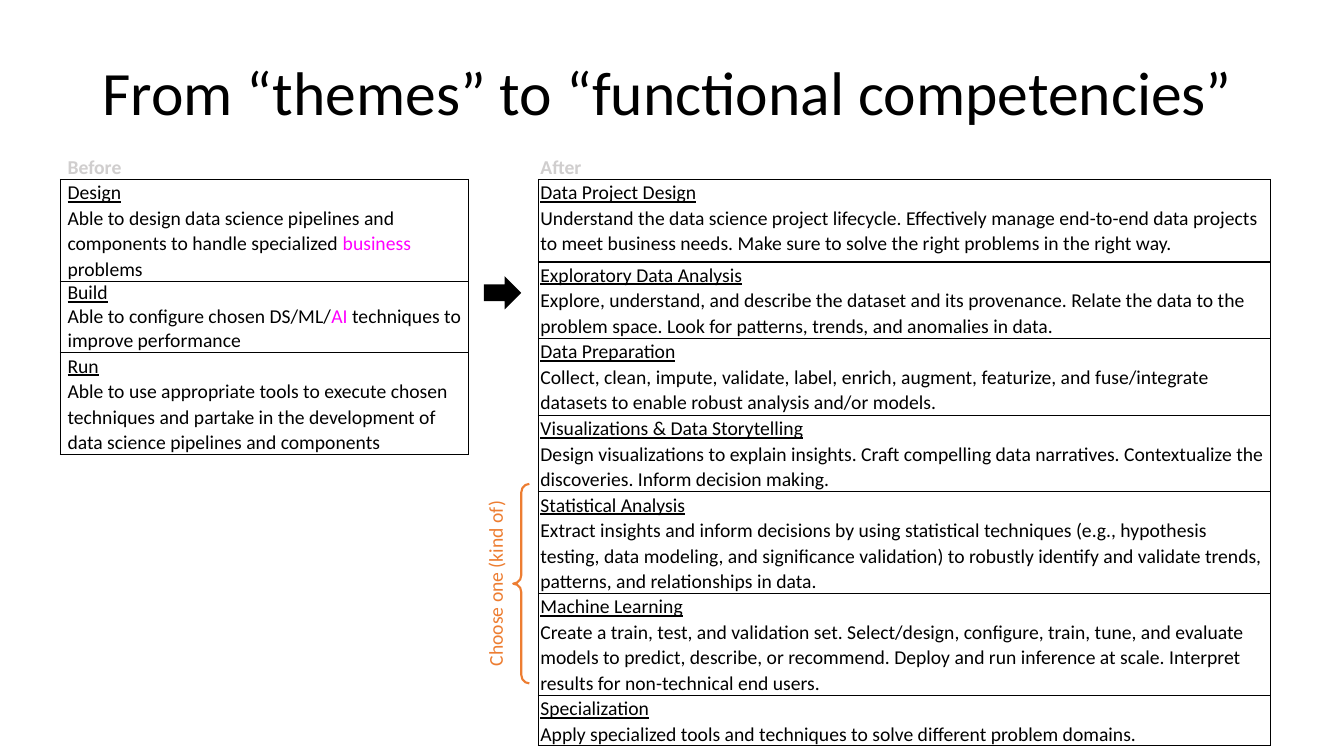
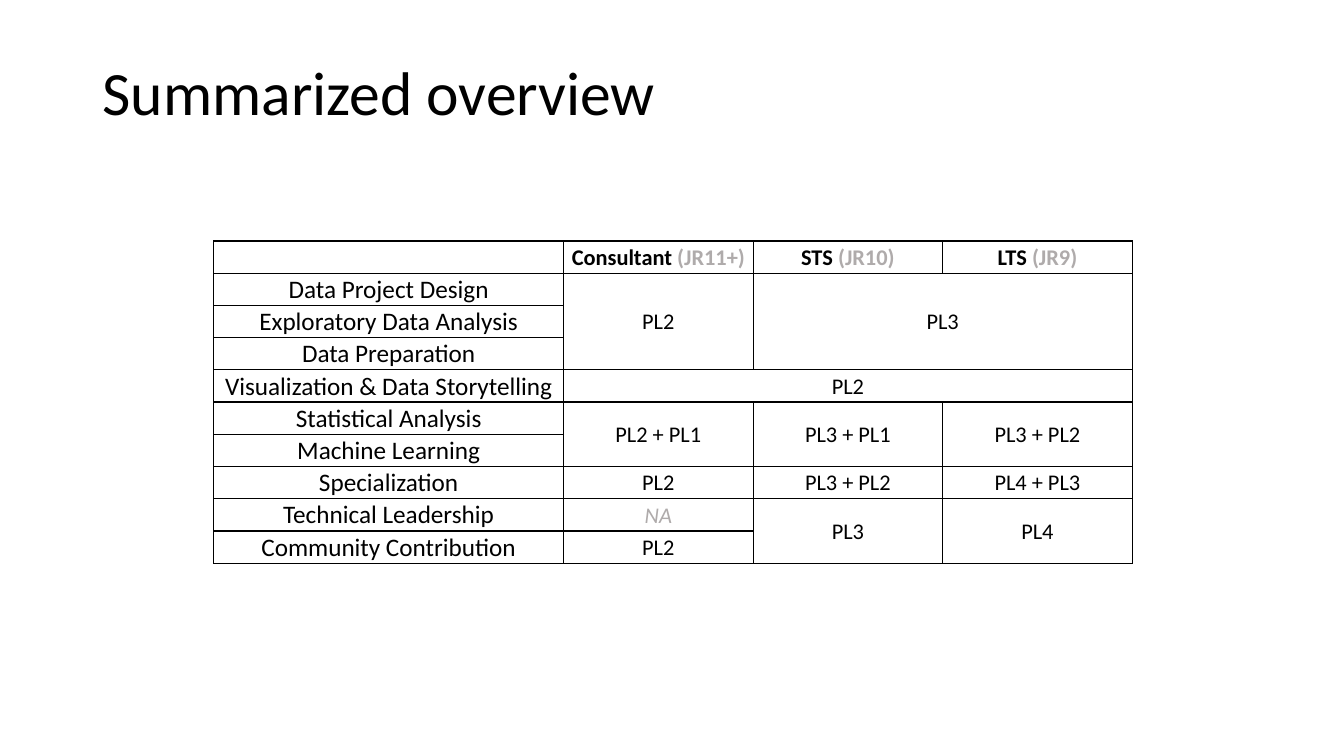
import pptx
import pptx.util
import pptx.dml.color
import pptx.enum.shapes
import pptx.enum.text
import pptx.oxml.ns
import lxml.etree

Inches = pptx.util.Inches
Pt = pptx.util.Pt
RGBColor = pptx.dml.color.RGBColor
Shape = pptx.enum.shapes.MSO_SHAPE
Align = pptx.enum.text.PP_ALIGN
Anchor = pptx.enum.text.MSO_ANCHOR

BLACK = RGBColor(0x00, 0x00, 0x00)
LABEL_GRAY = RGBColor(0xD0, 0xCE, 0xCE)
MUTED_GRAY = RGBColor(0xAF, 0xAB, 0xAB)
MAGENTA = RGBColor(0xFF, 0x00, 0xFF)
ORANGE = RGBColor(0xED, 0x7D, 0x31)

THEMES = [
    ("Design", [("Able to design data science pipelines and components to handle specialized ", BLACK),
                ("business", MAGENTA), (" problems", BLACK)], 1.07, 1.01),
    ("Build", [("Able to configure chosen DS/ML/", BLACK), ("AI", MAGENTA),
               (" techniques to improve performance", BLACK)], 1.0, 0.71),
    ("Run", "Able to use appropriate tools to execute chosen techniques and partake in the "
            "development of data science pipelines and components", 1.07, 1.01),
]
COMPETENCIES = [
    ("Data Project Design",
     "Understand the data science project lifecycle. Effectively manage end-to-end data projects "
     "to meet business needs. Make sure to solve the right problems in the right way.", 1.07, 0.82),
    ("Exploratory Data Analysis",
     "Explore, understand, and describe the dataset and its provenance. Relate the data to the "
     "problem space. Look for patterns, trends, and anomalies in data.", 1.07, 0.76),
    ("Data Preparation",
     "Collect, clean, impute, validate, label, enrich, augment, featurize, and fuse/integrate "
     "datasets to enable robust analysis and/or models.", 1.07, 0.76),
    ("Visualizations & Data Storytelling",
     "Design visualizations to explain insights. Craft compelling data narratives. Contextualize "
     "the discoveries. Inform decision making.", 1.07, 0.76),
    ("Statistical Analysis",
     "Extract insights and inform decisions by using statistical techniques (e.g., hypothesis "
     "testing, data modeling, and significance validation) to robustly identify and validate "
     "trends, patterns, and relationships in data.", 1.07, 1.01),
    ("Machine Learning",
     "Create a train, test, and validation set. Select/design, configure, train, tune, and "
     "evaluate models to predict, describe, or recommend. Deploy and run inference at scale. "
     "Interpret results for non-technical end users.", 1.07, 1.01),
    ("Specialization",
     "Apply specialized tools and techniques to solve different problem domains.", 1.07, 0.5),
]
ROLES = [("Consultant ", "(JR11+)"), ("STS ", "(JR10)"), ("LTS ", "(JR9)")]
SKILLS = ["Data Project Design", "Exploratory Data Analysis", "Data Preparation",
          "Visualization & Data Storytelling", "Statistical Analysis", "Machine Learning",
          "Specialization", "Technical Leadership", "Community Contribution"]
LEVELS = [
    (1, 1, 3, 1, "PL2"), (1, 2, 3, 2, "PL3"),
    (4, 1, 1, 3, "PL2"),
    (5, 1, 2, 1, "PL2 + PL1"), (5, 2, 2, 1, "PL3 + PL1"), (5, 3, 2, 1, "PL3 + PL2"),
    (7, 1, 1, 1, "PL2"), (7, 2, 1, 1, "PL3 + PL2"), (7, 3, 1, 1, "PL4 + PL3"),
    (8, 1, 1, 1, "NA"), (8, 2, 2, 1, "PL3"), (8, 3, 2, 1, "PL4"),
    (9, 1, 1, 1, "PL2"),
]


class SlideBuilder:
    font = "Calibri"

    def __init__(self, deck):
        self.deck = deck
        self.page = None

    def start(self, title):
        self.page = self.deck.slides.add_slide(self.deck.slide_layouts[6])
        box = self.page.shapes.add_textbox(Inches(0.92), Inches(0.22), Inches(11.5), Inches(1.45))
        box.text_frame.word_wrap = True
        box.text_frame.vertical_anchor = Anchor.MIDDLE
        self.set_text(box.text_frame.paragraphs[0], title, 44, spacing=0.9)

    def set_text(self, para, content, size, color=BLACK, bold=False, italic=False,
                 underline=False, align=Align.LEFT, spacing=1.0):
        para.alignment = align
        para.line_spacing = spacing
        font = para.font
        font.name, font.size = self.font, Pt(size)
        font.bold, font.italic, font.underline = bold, italic, underline
        spans = [(content, color)] if isinstance(content, str) else content
        for text, span_color in spans:
            span = para.add_run()
            span.text = text
            span.font.color.rgb = span_color

    def border(self, cell, visible_sides="LRTB"):
        properties = cell._tc.get_or_add_tcPr()
        for side in "LRTB":
            line = lxml.etree.SubElement(properties, pptx.oxml.ns.qn("a:ln" + side), w="12700")
            if side in visible_sides:
                fill = lxml.etree.SubElement(line, pptx.oxml.ns.qn("a:solidFill"))
                lxml.etree.SubElement(fill, pptx.oxml.ns.qn("a:srgbClr"), val=str(BLACK))
            else:
                lxml.etree.SubElement(line, pptx.oxml.ns.qn("a:noFill"))

    def table(self, left, top, widths, heights, margins, open_header=False):
        table = self.page.shapes.add_table(
            len(heights), len(widths), Inches(left), Inches(top),
            Inches(sum(widths)), Inches(sum(heights))).table
        table.first_row = table.horz_banding = False
        for column, width in zip(table.columns, widths):
            column.width = Inches(width)
        for index, (row, height) in enumerate(zip(table.rows, heights)):
            row.height = Inches(height)
            for cell in row.cells:
                self.border(cell, "B" if open_header and index == 0 else "LRTB")
                cell.fill.background()
                cell.margin_left, cell.margin_top, cell.margin_right, cell.margin_bottom = (
                    Inches(margin) for margin in margins)
                cell.text_frame.paragraphs[0].font.size = Pt(14)
        return table

    def topic_table(self, left, width, inset, label, topics):
        heights = [0.25] + [topic[-1] for topic in topics]
        table = self.table(left, 1.53, [width], heights, (inset, 0, inset, 0), open_header=True)
        self.set_text(table.cell(0, 0).text_frame.paragraphs[0], label, 14, LABEL_GRAY,
                      bold=True, spacing=1.07)
        for row, (name, description, spacing, _) in enumerate(topics, 1):
            frame = table.cell(row, 0).text_frame
            self.set_text(frame.paragraphs[0], name, 14, underline=True, spacing=spacing)
            self.set_text(frame.add_paragraph(), description, 14, spacing=spacing)

    def centered_cell(self, cell, content, size, **style):
        cell.vertical_anchor = Anchor.MIDDLE
        self.set_text(cell.text_frame.paragraphs[0], content, size, align=Align.CENTER, **style)

    def shape(self, kind, left, top, width, height):
        shape = self.page.shapes.add_shape(
            kind, Inches(left), Inches(top), Inches(width), Inches(height))
        shape.shadow.inherit = False
        return shape

    def arrow(self, left, top, width, height):
        arrow = self.shape(Shape.RIGHT_ARROW, left, top, width, height)
        arrow.fill.solid()
        arrow.fill.fore_color.rgb = BLACK
        arrow.line.fill.background()

    def left_facing_brace(self, left, top, width, height):
        brace = self.shape(Shape.RIGHT_BRACE, left, top, width, height)
        brace.rotation = 180
        brace.adjustments[0] = 0.53
        brace.fill.background()
        brace.line.color.rgb = ORANGE
        brace.line.width = Pt(1.5)

    def vertical_label(self, left, top, width, height, text):
        box = self.page.shapes.add_textbox(
            Inches(left), Inches(top), Inches(width), Inches(height))
        box.rotation = 270
        box.text_frame.word_wrap = False
        box.text_frame.auto_size = pptx.enum.text.MSO_AUTO_SIZE.SHAPE_TO_FIT_TEXT
        self.set_text(box.text_frame.paragraphs[0], text, 14, ORANGE, align=Align.CENTER)


def add_competencies(builder):
    builder.start("From “themes” to “functional competencies”")
    builder.topic_table(0.6, 4.05, 0.07, "Before", THEMES)
    builder.topic_table(5.34, 7.26, 0.02, "After", COMPETENCIES)
    builder.left_facing_brace(5.09, 4.8, 0.16, 1.98)
    builder.vertical_label(3.99, 5.62, 1.85, 0.34, "Choose one (kind of)")
    builder.arrow(4.8, 2.74, 0.37, 0.33)


def add_overview(builder):
    builder.start("Summarized overview")
    table = builder.table(2.12, 2.39, [3.47] + [1.88] * len(ROLES),
                          [0.32] * (len(SKILLS) + 1), (0.01, 0.01, 0.01, 0))
    for column, (role, rank) in enumerate(ROLES, 1):
        builder.centered_cell(table.cell(0, column), [(role, BLACK), (rank, MUTED_GRAY)],
                              16, bold=True)
    for row, skill in enumerate(SKILLS, 1):
        builder.centered_cell(table.cell(row, 0), skill, 18)
    for row, column, row_span, column_span, level in LEVELS:
        cell = table.cell(row, column)
        if row_span * column_span > 1:
            cell.merge(table.cell(row + row_span - 1, column + column_span - 1))
        missing = level == "NA"
        builder.centered_cell(cell, level, 16, italic=missing,
                              color=MUTED_GRAY if missing else BLACK)


def main():
    deck = pptx.Presentation()
    deck.slide_width, deck.slide_height = Inches(13.33), Inches(7.5)
    builder = SlideBuilder(deck)
    add_competencies(builder)
    add_overview(builder)
    deck.save("out.pptx")


if __name__ == "__main__":
    main()
